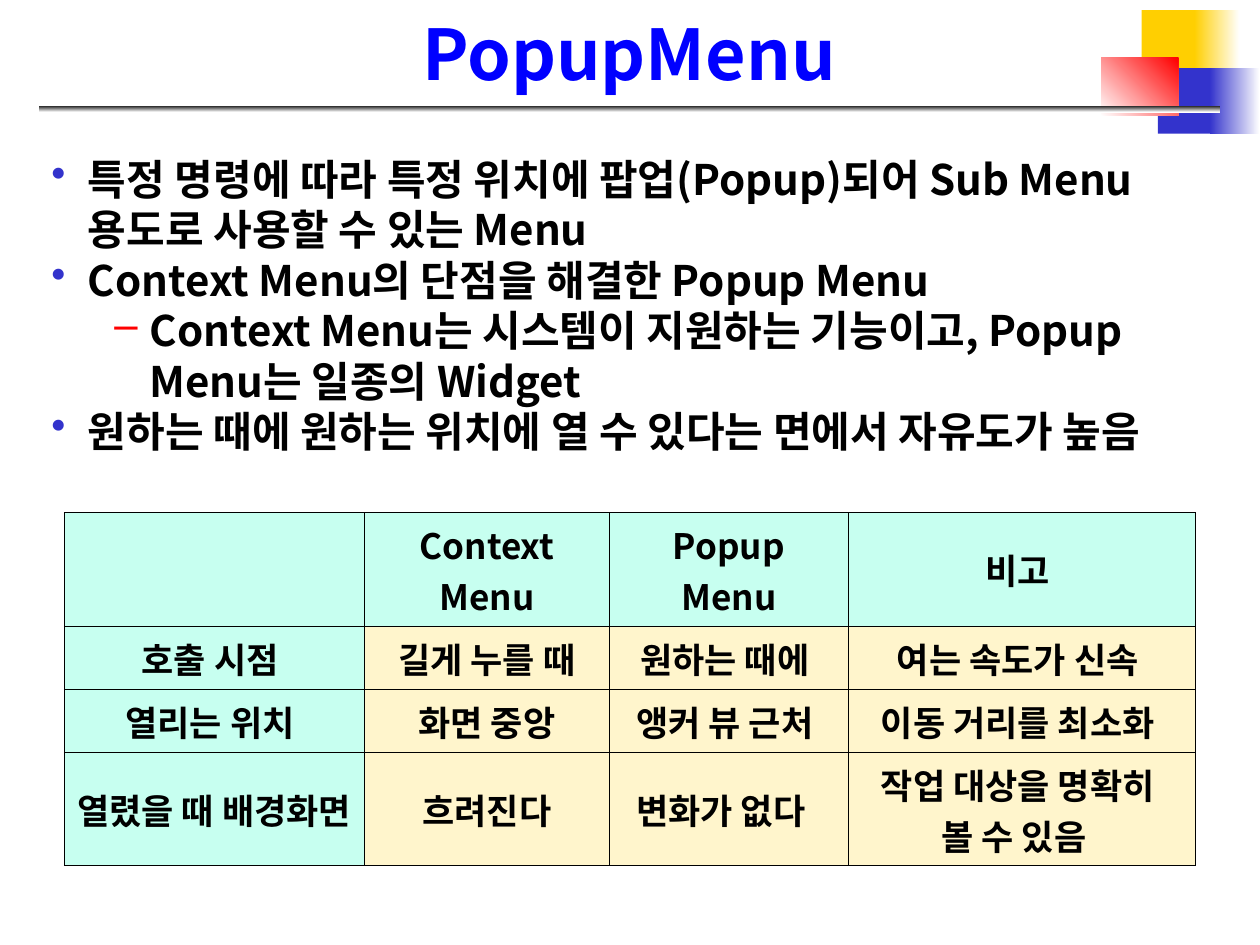
from lxml.etree import SubElement
from pptx import Presentation
from pptx.dml.color import RGBColor
from pptx.enum.shapes import MSO_SHAPE
from pptx.enum.text import MSO_ANCHOR, PP_ALIGN
from pptx.oxml.ns import qn
from pptx.util import Inches, Pt

FONT = "Noto Sans CJK KR"
BLACK, WHITE, RED, INDIGO, YELLOW = "000000", "FFFFFF", "FF0000", "3333CC", "FFCF01"
MINT, CREAM = "C7FFF0", "FFF5CC"

# (text, level)
POINTS = [
    ("특정 명령에 따라 특정 위치에 팝업(Popup)되어 Sub Menu용도로 사용할 수 있는 Menu", 0),
    ("Context Menu의 단점을 해결한 Popup Menu", 0),
    ("Context Menu는 시스템이 지원하는 기능이고, Popup Menu는 일종의 Widget", 1),
    ("원하는 때에 원하는 위치에 열 수 있다는 면에서 자유도가 높음", 0),
]
# One entry a level: (left margin, hanging indent, sign, sign colour)
BULLETS = [(0.29, 0.29, "•", INDIGO), (0.78, 0.28, "–", RED)]

COMPARISON = [
    ["", "Context Menu", "Popup Menu", "비고 "],
    ["호출 시점 ", "길게 누를 때", "원하는 때에 ", "여는 속도가 신속 "],
    ["열리는 위치 ", "화면 중앙", "앵커 뷰 근처 ", "이동 거리를 최소화 "],
    ["열렸을 때 배경화면", "흐려진다", "변화가 없다  ", "작업 대상을 명확히 \n볼 수 있음  "],
]
COLUMN_WIDTHS = [2.38, 1.95, 1.89, 2.76]
ROW_HEIGHTS = [0.9, 0.5, 0.5, 0.9]


def color(value):
    return RGBColor.from_string(value)


def write(para, text, size, fill=BLACK, align=PP_ALIGN.LEFT):
    para.alignment = align
    span = para.add_run()
    span.text = text
    span.font.name, span.font.size, span.font.bold = FONT, Pt(size), True
    span.font.color.rgb = color(fill)


def add_bullet(para, level):
    margin, hanging, sign, sign_color = BULLETS[level]
    para.level = level
    props = para._p.get_or_add_pPr()
    props.set("marL", str(Inches(margin)))
    props.set("indent", str(-Inches(hanging)))
    tint = SubElement(props, qn("a:buClr"))
    SubElement(tint, qn("a:srgbClr"), val=sign_color)
    SubElement(props, qn("a:buChar"), char=sign)


def add_block(page, left, top, width, height, start, end=None, angle=0):
    """Rectangle in one colour, or fading from start to end (angle runs anticlockwise)."""
    block = page.shapes.add_shape(
        MSO_SHAPE.RECTANGLE, Inches(left), Inches(top), Inches(width), Inches(height))
    block.shadow.inherit = False
    block.line.fill.background()
    if end is None:
        block.fill.solid()
        block.fill.fore_color.rgb = color(start)
        return
    block.fill.gradient()
    block.fill.gradient_angle = angle
    for stop, value in zip(block.fill.gradient_stops, (start, end)):
        stop.color.rgb = color(value)


def add_text_frame(page, left, top, width, height, anchor=MSO_ANCHOR.TOP):
    box = page.shapes.add_textbox(Inches(left), Inches(top), Inches(width), Inches(height))
    frame = box.text_frame
    frame.word_wrap = True
    frame.vertical_anchor = anchor
    return frame


def add_corner_blocks(page, left, top):
    add_block(page, left + 0.32, top, 0.48, 0.52, YELLOW)
    add_block(page, left + 0.74, top, 0.36, 0.52, YELLOW, WHITE)
    add_block(page, left + 0.45, top + 0.46, 0.46, 0.52, INDIGO)
    add_block(page, left + 0.86, top + 0.46, 0.4, 0.52, INDIGO, WHITE)
    add_block(page, left, top + 0.38, 0.61, 0.46, WHITE, RED, angle=45)


def add_title(page, left, top, width, height):
    add_block(page, left, top + height, width, 0.05, "1C1C1C", WHITE, angle=270)
    frame = add_text_frame(page, left, top, width, height, MSO_ANCHOR.MIDDLE)
    write(frame.paragraphs[0], "PopupMenu", 40, fill="0000FF", align=PP_ALIGN.CENTER)


def add_points(page, left, top, width, height):
    frame = add_text_frame(page, left, top, width, height)
    for index, (text, level) in enumerate(POINTS):
        para = frame.add_paragraph() if index else frame.paragraphs[0]
        add_bullet(para, level)
        write(para, text, 24)


def add_borders(cell):
    props = cell._tc.get_or_add_tcPr()
    for side in ("lnL", "lnR", "lnT", "lnB"):
        line = SubElement(props, qn(f"a:{side}"), w=str(Pt(0.45)))
        SubElement(SubElement(line, qn("a:solidFill")), qn("a:srgbClr"), val=BLACK)


def fill_cell(cell, text, fill):
    add_borders(cell)
    cell.fill.solid()
    cell.fill.fore_color.rgb = color(fill)
    cell.vertical_anchor = MSO_ANCHOR.MIDDLE
    for index, line in enumerate(text.split("\n")):
        frame = cell.text_frame
        para = frame.add_paragraph() if index else frame.paragraphs[0]
        if line:
            write(para, line, 20, align=PP_ALIGN.CENTER)


def add_comparison(page, left, top):
    table = page.shapes.add_table(
        len(ROW_HEIGHTS), len(COLUMN_WIDTHS), Inches(left), Inches(top),
        Inches(sum(COLUMN_WIDTHS)), Inches(sum(ROW_HEIGHTS))).table
    for column, width in zip(table.columns, COLUMN_WIDTHS):
        column.width = Inches(width)
    for row, height in zip(table.rows, ROW_HEIGHTS):
        row.height = Inches(height)
    for r, texts in enumerate(COMPARISON):
        for c, text in enumerate(texts):
            fill_cell(table.cell(r, c), text, CREAM if r and c else MINT)


def main():
    deck = Presentation()
    deck.slide_width, deck.slide_height = Inches(10), Inches(7.5)
    page = deck.slides.add_slide(deck.slide_layouts[6])
    add_corner_blocks(page, 8.74, 0.08)
    add_title(page, 0.31, 0, 9.37, 0.84)
    add_points(page, 0.31, 1.17, 9.37, 4.3)
    add_comparison(page, 0.51, 4.07)
    deck.save("out.pptx")


if __name__ == "__main__":
    main()
